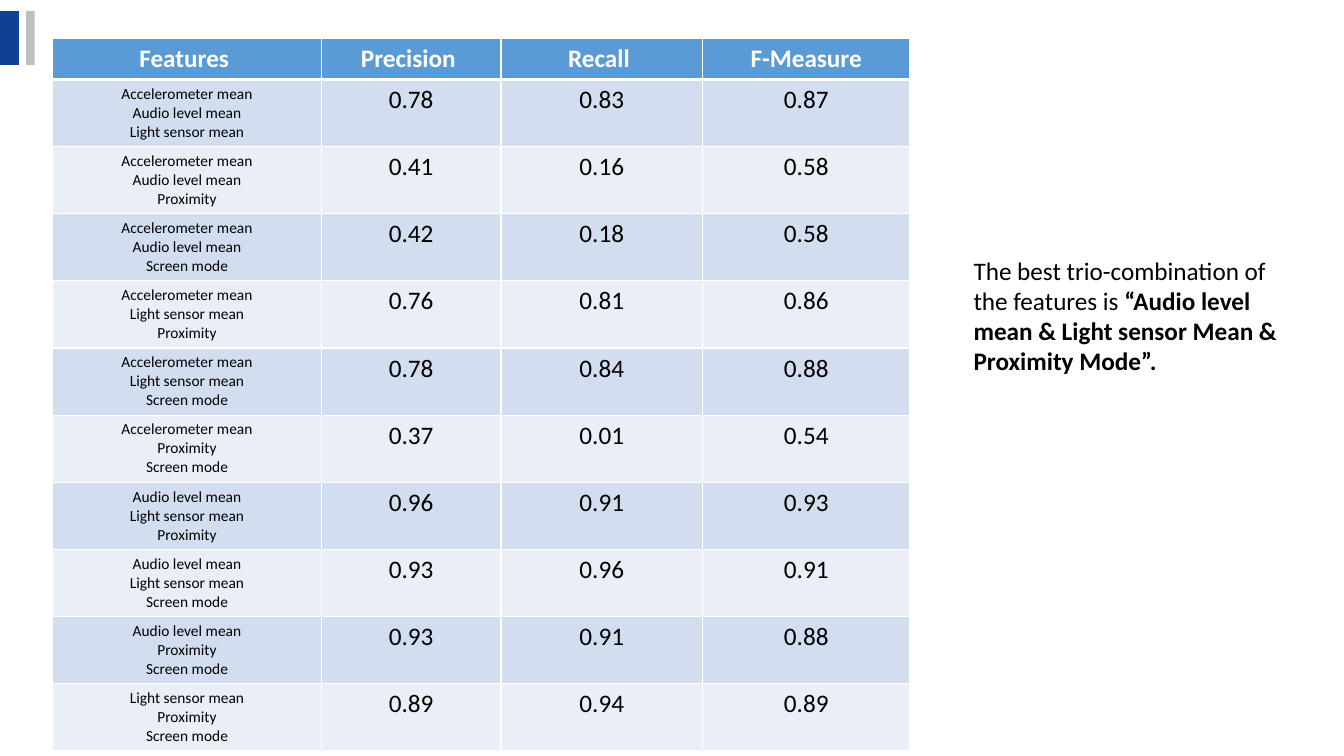
from itertools import combinations

from lxml.etree import SubElement
from pptx import Presentation
from pptx.dml.color import RGBColor
from pptx.enum.shapes import MSO_SHAPE
from pptx.enum.text import MSO_AUTO_SIZE, PP_ALIGN
from pptx.oxml.ns import qn
from pptx.util import Pt

NAVY = RGBColor(0x0E, 0x40, 0x94)
GRAY = RGBColor(0xBF, 0xBF, 0xBF)
HEADER_BLUE = RGBColor(0x5B, 0x9B, 0xD5)
BAND_DARK = RGBColor(0xD2, 0xDE, 0xEF)
BAND_LIGHT = RGBColor(0xEA, 0xEF, 0xF7)
WHITE = RGBColor(0xFF, 0xFF, 0xFF)
BLACK = RGBColor(0x00, 0x00, 0x00)

FEATURES = [
    "Accelerometer mean",
    "Audio level mean",
    "Light sensor mean",
    "Proximity",
    "Screen mode",
]
HEADERS = ["Features ", "Precision ", "Recall ", "F-Measure"]
SCORES = [
    ("0.78", "0.83", "0.87"),
    ("0.41", "0.16", "0.58"),
    ("0.42", "0.18", "0.58"),
    ("0.76", "0.81", "0.86"),
    ("0.78", "0.84", "0.88"),
    ("0.37", "0.01", "0.54"),
    ("0.96", "0.91", "0.93"),
    ("0.93", "0.96", "0.91"),
    ("0.93", "0.91", "0.88"),
    ("0.89", "0.94", "0.89"),
]


def add_text(paragraph, text, size=18, color=BLACK, bold=False, font="Calibri"):
    run = paragraph.add_run()
    run.text = text
    run.font.name = font
    run.font.size = Pt(size)
    run.font.bold = bold
    run.font.color.rgb = color


class SlideBuilder:
    def __init__(self, slide, font="Calibri"):
        self.slide = slide
        self.font = font

    def bar(self, left, top, width, height, color):
        shape = self.slide.shapes.add_shape(
            MSO_SHAPE.RECTANGLE, Pt(left), Pt(top), Pt(width), Pt(height)
        )
        shape.shadow.inherit = False
        shape.fill.solid()
        shape.fill.fore_color.rgb = color
        shape.line.fill.background()

    def text_box(self, left, top, width, height, runs):
        shape = self.slide.shapes.add_textbox(Pt(left), Pt(top), Pt(width), Pt(height))
        frame = shape.text_frame
        frame.word_wrap = True
        frame.auto_size = MSO_AUTO_SIZE.SHAPE_TO_FIT_TEXT
        for text, bold in runs:
            add_text(frame.paragraphs[0], text, bold=bold, font=self.font)

    def cell(self, cell, lines, fill, top_border=1, bottom_border=1, **text_format):
        properties = cell._tc.get_or_add_tcPr()
        borders = {"lnL": 1, "lnR": 1, "lnT": top_border, "lnB": bottom_border}
        for side, width in borders.items():
            line = SubElement(properties, qn(f"a:{side}"), w=str(Pt(width)))
            solid_fill = SubElement(line, qn("a:solidFill"))
            SubElement(solid_fill, qn("a:srgbClr"), val=str(WHITE))
        cell.fill.solid()
        cell.fill.fore_color.rgb = fill
        frame = cell.text_frame
        for index, text in enumerate(lines):
            paragraph = frame.add_paragraph() if index else frame.paragraphs[0]
            paragraph.alignment = PP_ALIGN.CENTER
            add_text(paragraph, text, font=self.font, **text_format)

    def score_table(self, left, top, column_widths, row_height, headers, trios, scores):
        row_count = len(scores) + 1
        table = self.slide.shapes.add_table(
            row_count, len(headers), Pt(left), Pt(top),
            Pt(sum(column_widths)), Pt(row_height * row_count),
        ).table
        for column, width in zip(table.columns, column_widths):
            column.width = Pt(width)
        for row in table.rows:
            row.height = Pt(row_height)
        for column, header in enumerate(headers):
            self.cell(table.cell(0, column), [header], HEADER_BLUE,
                      bottom_border=3, color=WHITE, bold=True)
        for row, (trio, values) in enumerate(zip(trios, scores), start=1):
            fill = BAND_DARK if row % 2 else BAND_LIGHT
            top_border = 3 if row == 1 else 1
            self.cell(table.cell(row, 0), trio, fill, top_border, size=11)
            for column, value in enumerate(values, start=1):
                self.cell(table.cell(row, column), [value], fill, top_border)


def main():
    presentation = Presentation()
    presentation.slide_width = Pt(960)
    presentation.slide_height = Pt(540)
    builder = SlideBuilder(presentation.slides.add_slide(presentation.slide_layouts[6]))

    builder.bar(0, 8, 13.5, 38.4, NAVY)
    builder.bar(18.7, 8, 6, 38.4, GRAY)
    builder.score_table(37.7, 27.5, [191.8, 128.4, 144, 148], 29.2,
                        HEADERS, combinations(FEATURES, 3), SCORES)
    builder.text_box(688.3, 178.6, 241.2, 94.5, [
        ("The best trio-combination of the features is ", False),
        ("“Audio level mean & Light sensor Mean & Proximity Mode”.", True),
    ])

    presentation.save("out.pptx")


if __name__ == "__main__":
    main()
